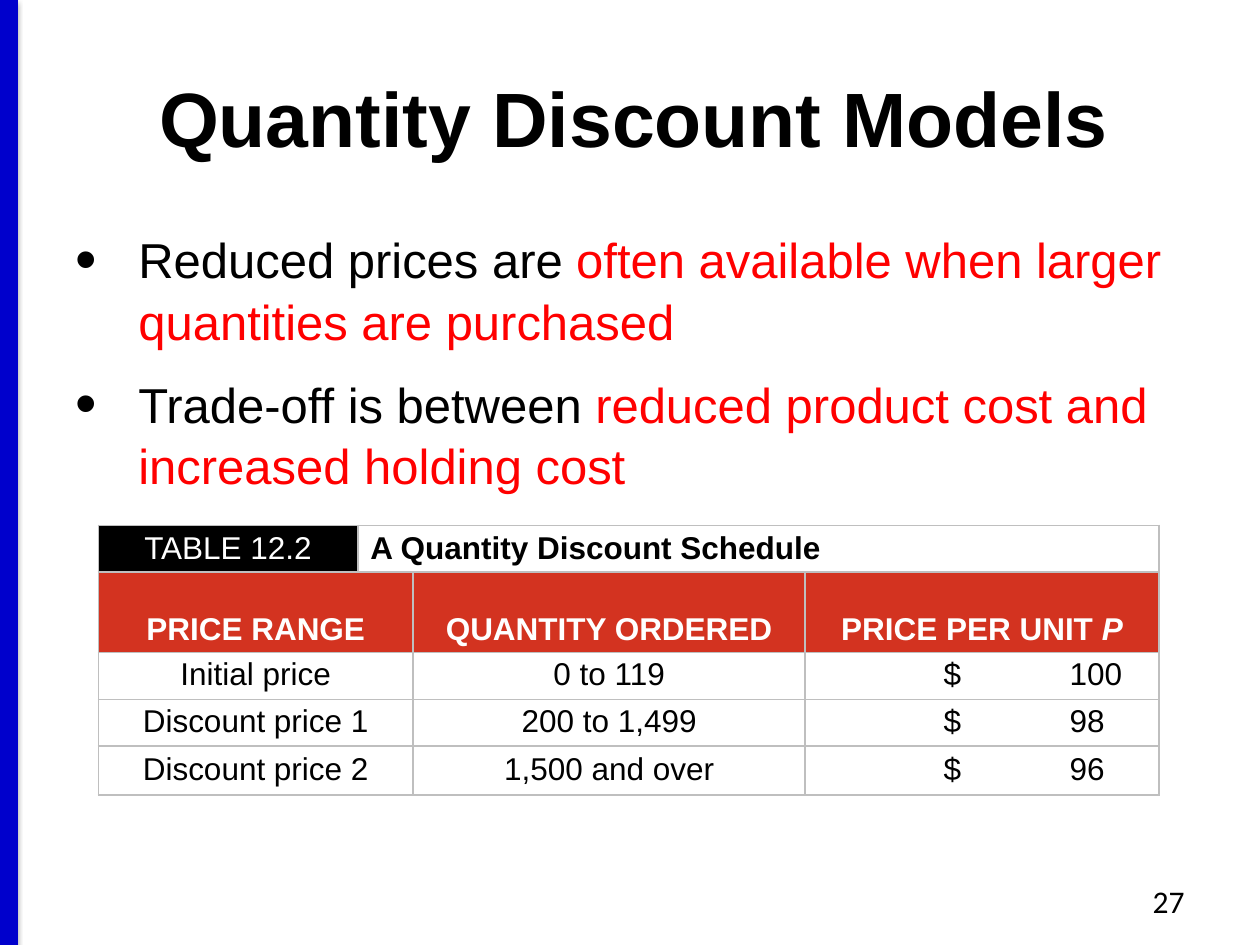
import dataclasses

import lxml.etree
import pptx
import pptx.dml.color
import pptx.enum.shapes
import pptx.enum.text
import pptx.oxml
import pptx.oxml.ns
import pptx.util

Inches = pptx.util.Inches
Pt = pptx.util.Pt
Align = pptx.enum.text.PP_ALIGN
Anchor = pptx.enum.text.MSO_ANCHOR


@dataclasses.dataclass(frozen=True)
class Theme:
    black: str = "000000"
    white: str = "FFFFFF"
    stripe: str = "0000CC"
    emphasis: str = "FF0000"
    header: str = "D33320"
    border: str = "BFBFBF"
    font: str = "Arial"
    number_font: str = "Calibri"
    title_size: int = 44
    body_size: int = 28
    small_size: int = 18


def rgb(value):
    return pptx.dml.color.RGBColor.from_string(value)


def add_xml(parent, markup):
    namespace = pptx.oxml.ns.nsdecls("a")
    wrapper = pptx.oxml.parse_xml(f"<a:wrapper {namespace}>{markup}</a:wrapper>")
    for element in list(wrapper):
        parent.append(element)


class SlideBuilder:
    def __init__(self, slide, theme):
        self.slide = slide
        self.theme = theme

    def style(self, paragraph, size, color, bold=False, font=None, align=None):
        paragraph.alignment = align
        paragraph.font.name = font or self.theme.font
        paragraph.font.size = Pt(size)
        paragraph.font.bold = bold
        paragraph.font.color.rgb = rgb(color)

    def stripe(self, x, height, width):
        line = self.slide.shapes.add_connector(
            pptx.enum.shapes.MSO_CONNECTOR.STRAIGHT,
            Inches(x), Inches(0), Inches(x), Inches(height))
        line.line.color.rgb = rgb(self.theme.stripe)
        line.line.width = Pt(width)
        add_xml(line._element.spPr, f"""<a:effectLst>
            <a:outerShdw blurRad="{Pt(3.1)}" dist="{Pt(1.6)}" dir="5400000" rotWithShape="0">
            <a:srgbClr val="{self.theme.black}"><a:alpha val="38000"/></a:srgbClr>
            </a:outerShdw></a:effectLst>""")

    def text_frame(self, left, top, width, height, anchor=Anchor.TOP):
        box = self.slide.shapes.add_textbox(
            Inches(left), Inches(top), Inches(width), Inches(height))
        box.text_frame.word_wrap = True
        box.text_frame.vertical_anchor = anchor
        return box.text_frame

    def label(self, place, text, size, align, anchor=Anchor.TOP, bold=False, font=None):
        paragraph = self.text_frame(*place, anchor).paragraphs[0]
        paragraph.add_run().text = text
        self.style(paragraph, size, self.theme.black, bold, font, align)

    def bullets(self, place, items):
        frame = self.text_frame(*place)
        for index, (lead, emphasis) in enumerate(items):
            paragraph = frame.add_paragraph() if index else frame.paragraphs[0]
            properties = paragraph._p.get_or_add_pPr()
            properties.set("marL", str(Inches(0.5)))
            properties.set("indent", str(Inches(-0.5)))
            add_xml(properties, f"""<a:buClr><a:srgbClr val="{self.theme.black}"/></a:buClr>
                <a:buSzPct val="125000"/><a:buFont typeface="{self.theme.font}"/>
                <a:buChar char="•"/>""")
            paragraph.space_after = Pt(12)
            paragraph.line_spacing = 1.05
            self.style(paragraph, self.theme.body_size, self.theme.black)
            paragraph.add_run().text = lead
            run = paragraph.add_run()
            run.text = emphasis
            run.font.color.rgb = rgb(self.theme.emphasis)

    def table(self, place, columns, heights):
        left, top = place
        table = self.slide.shapes.add_table(
            len(heights), len(columns), Inches(left), Inches(top),
            Inches(sum(columns)), Inches(sum(heights))).table
        table.first_row = False
        table.horz_banding = False
        for column, width in zip(table.columns, columns):
            column.width = Inches(width)
        for row, height in zip(table.rows, heights):
            row.height = Inches(height)
        for cell in table.iter_cells():
            properties = cell._tc.get_or_add_tcPr()
            for side in ("lnL", "lnR", "lnT", "lnB"):
                add_xml(properties, f"""<a:{side} w="{Pt(1)}"><a:solidFill>
                    <a:srgbClr val="{self.theme.border}"/></a:solidFill></a:{side}>""")
            cell.fill.background()
        return table

    def cell(self, cell, texts, color, fill=None, bold=False,
             align=Align.CENTER, anchor=Anchor.MIDDLE, tabs=()):
        cell.vertical_anchor = anchor
        if fill:
            cell.fill.solid()
            cell.fill.fore_color.rgb = rgb(fill)
        paragraph = cell.text_frame.paragraphs[0]
        properties = paragraph._p.get_or_add_pPr()
        add_xml(properties, '<a:spcAft><a:spcPct val="40000"/></a:spcAft>')
        if tabs:
            properties.set("defTabSz", str(Inches(1)))
            stops = "".join(f'<a:tab pos="{Inches(tab)}" algn="l"/>' for tab in tabs)
            add_xml(properties, f"<a:tabLst>{stops}</a:tabLst>")
        paragraph.line_spacing = 0.9
        self.style(paragraph, self.theme.small_size, color, bold, align=align)
        for index, text in enumerate(texts):
            run = paragraph.add_run()
            run.text = text
            if index:
                run.font.italic = True


def add_schedule(builder):
    theme = builder.theme
    table = builder.table((0.78, 4.17), [2.06, 0.44, 3.11, 2.81],
                          [0.37, 0.64, 0.37, 0.37, 0.39])
    table.cell(0, 1).merge(table.cell(0, 3))
    builder.cell(table.cell(0, 0), ["TABLE 12.2"], theme.white, theme.black,
                 anchor=Anchor.BOTTOM)
    builder.cell(table.cell(0, 1), ["A Quantity Discount Schedule"], theme.black,
                 bold=True, align=Align.LEFT, anchor=Anchor.BOTTOM)

    columns = (0, 2, 3)
    headings = (["PRICE RANGE"], ["QUANTITY ORDERED"], ["PRICE PER UNIT ", "P"])
    for column, heading in zip(columns, headings):
        builder.cell(table.cell(1, column), heading, theme.white, theme.header,
                     bold=True, anchor=Anchor.BOTTOM)

    prices = [("Initial price", "0 to 119", 100),
              ("Discount price 1", "200 to 1,499", 98),
              ("Discount price 2", "1,500 and over", 96)]
    for row, (name, quantity, price) in enumerate(prices, start=2):
        builder.cell(table.cell(row, 0), [name], theme.black)
        builder.cell(table.cell(row, 2), [quantity], theme.black)
        builder.cell(table.cell(row, 3), [f"\t$\t{price}"], theme.black,
                     align=Align.LEFT, tabs=(1, 2))
    for row in range(1, 5):
        table.cell(row, 0).merge(table.cell(row, 1))


def main():
    presentation = pptx.Presentation()
    presentation.slide_width = Inches(10)
    presentation.slide_height = Inches(7.5)
    slide = presentation.slides.add_slide(presentation.slide_layouts[6])
    theme = Theme()
    builder = SlideBuilder(slide, theme)

    builder.stripe(0.07, 7.5, 10)
    builder.label((0.07, 0.3, 9.93, 1.25), "Quantity Discount Models",
                  theme.title_size, Align.CENTER, Anchor.MIDDLE, bold=True)
    builder.bullets((0.5, 1.75, 9, 4.95), [
        ("Reduced prices are ", "often available when larger quantities are purchased"),
        ("Trade-off is between ", "reduced product cost and increased holding cost"),
    ])
    builder.label((7.17, 6.95, 2.33, 0.4), "27", theme.small_size, Align.RIGHT,
                  font=theme.number_font)
    add_schedule(builder)
    presentation.save("out.pptx")


if __name__ == "__main__":
    main()
